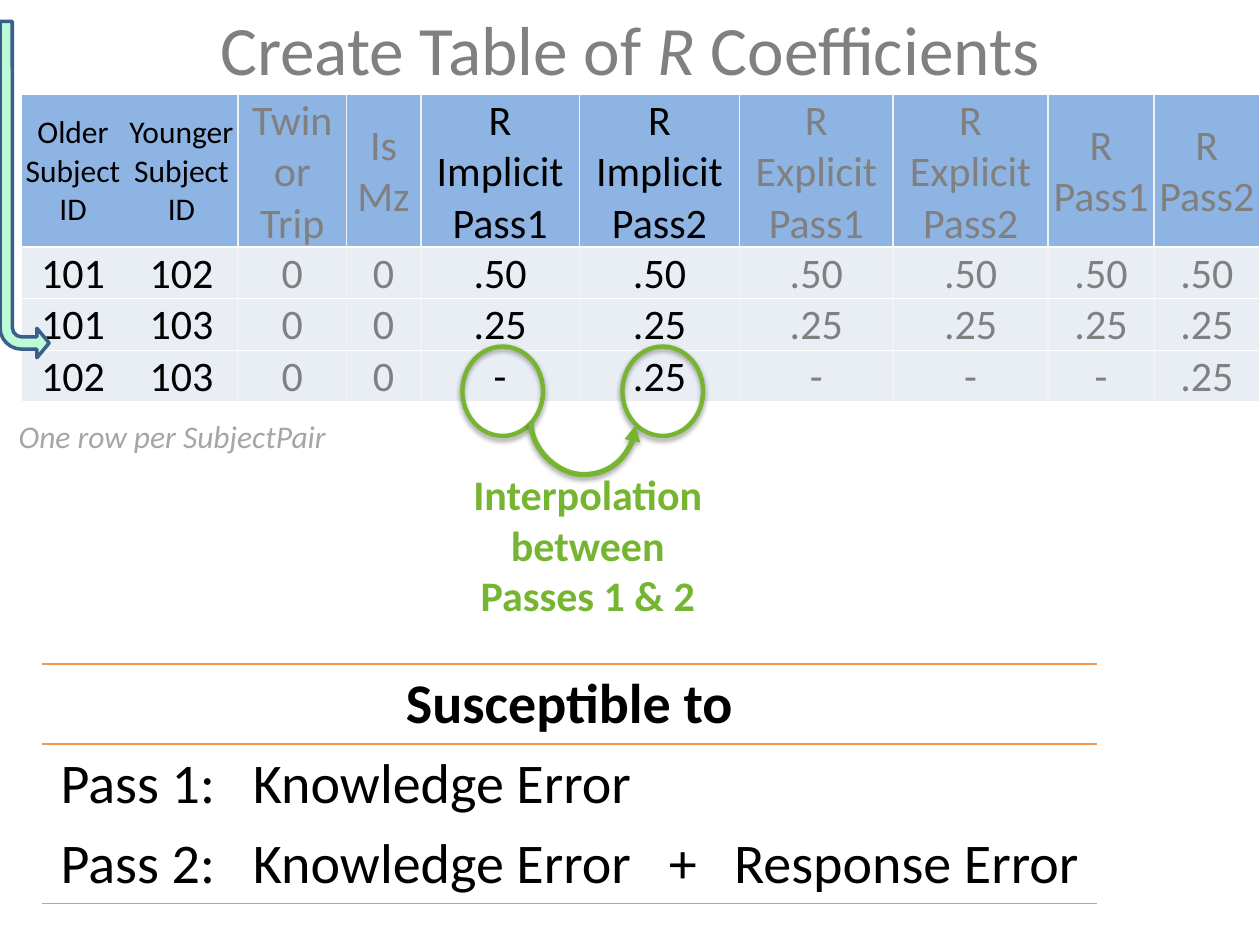
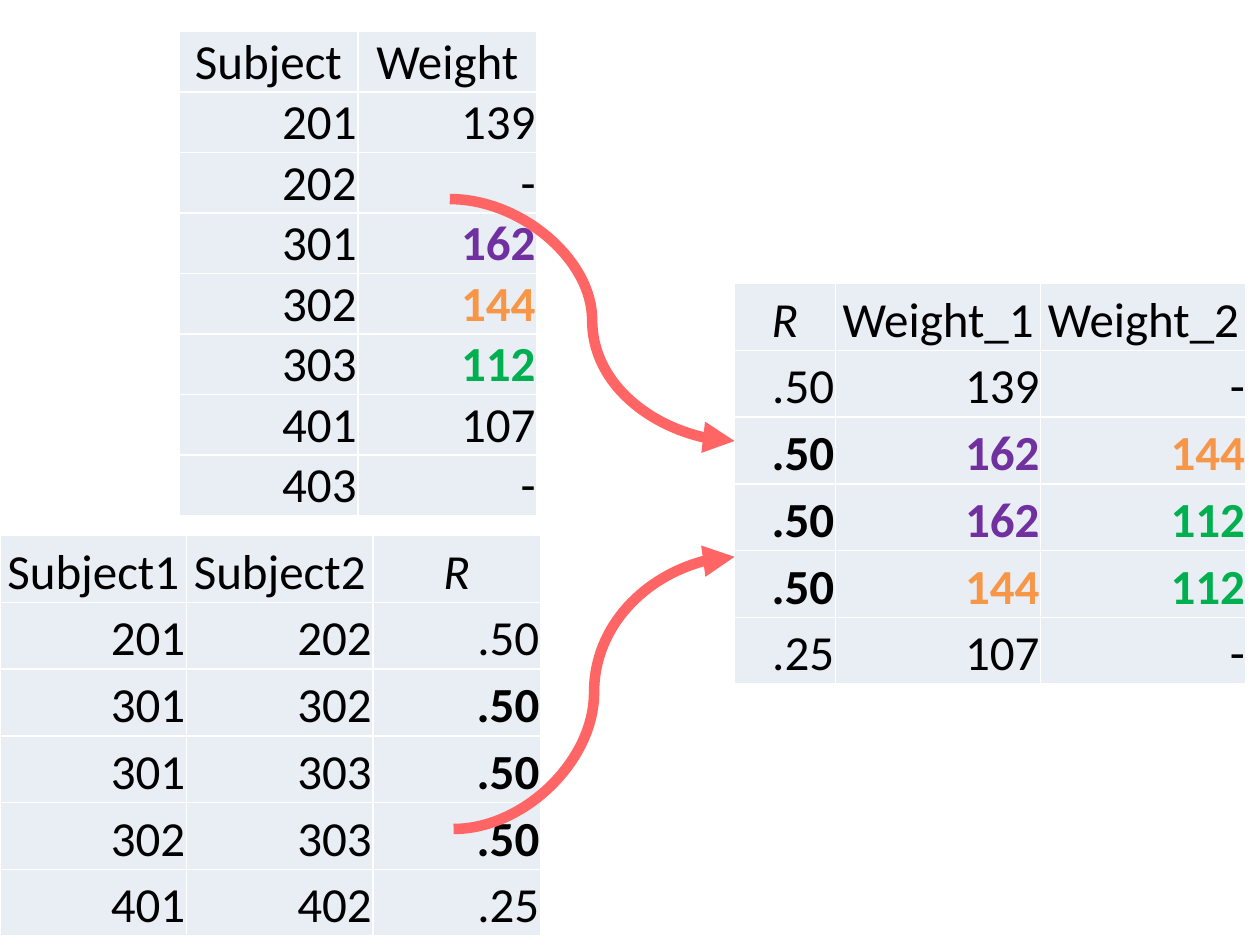
"""Build two slides on tables of R coefficients and linked subject weights."""
import lxml.etree
import pptx
import pptx.dml.color
import pptx.enum.shapes
import pptx.enum.text
import pptx.oxml.ns
import pptx.util

Inches = pptx.util.Inches
Pt = pptx.util.Pt
RGBColor = pptx.dml.color.RGBColor
Align = pptx.enum.text.PP_ALIGN
Anchor = pptx.enum.text.MSO_ANCHOR
Shape = pptx.enum.shapes.MSO_SHAPE
qn = pptx.oxml.ns.qn

FONT = "Calibri"
BLACK = RGBColor(0, 0, 0)
WHITE = RGBColor(255, 255, 255)
GRAY = RGBColor(0x80, 0x80, 0x80)
LIGHT_GRAY = RGBColor(0xA6, 0xA6, 0xA6)
DIVIDER = RGBColor(0xF2, 0xF2, 0xF2)
HEADER_BLUE = RGBColor(0x8E, 0xB4, 0xE3)
CELL_BLUE = RGBColor(0xE9, 0xED, 0xF4)
GREEN = RGBColor(0x76, 0xB5, 0x31)
MINT = RGBColor(0xBD, 0xFB, 0xD6)
NAVY = RGBColor(0x3A, 0x5F, 0x8C)
CORAL = RGBColor(0xFF, 0x65, 0x65)
ORANGE = RGBColor(0xF7, 0x96, 0x46)
WEIGHT_COLORS = {
    "162": RGBColor(0x70, 0x30, 0xA0),
    "144": ORANGE,
    "112": RGBColor(0x00, 0xB0, 0x50),
}
NO_STYLE = "{2D5ABB26-0587-4C30-8999-92F81FD0307C}"

COEFFICIENT_WIDTHS = [0.82, 0.9, 0.86, 0.59, 1.26, 1.27, 1.22, 1.23, 0.84, 0.84]
COEFFICIENT_ROWS = [
    ["Older\nSubject\nID", "Younger\nSubject\nID", "Twin\nor\nTrip", "Is\nMz",
     "R\nImplicit\nPass1", "R\nImplicit\nPass2", "R\nExplicit\nPass1",
     "R\nExplicit\nPass2", "R\nPass1", "R\nPass2"],
    ["101", "102", "0", "0"] + [".50"] * 6,
    ["101", "103", "0", "0"] + [".25"] * 6,
    ["102", "103", "0", "0", "-", ".25", "-", "-", "-", ".25"],
]
ERROR_ROWS = [
    ["Susceptible to", "", "", ""],
    ["Pass 1:", "Knowledge Error", "", ""],
    ["Pass 2:", "Knowledge Error", "+", "Response Error"],
]
WEIGHT_ROWS = [
    ["Subject", "Weight"], ["201", "139"], ["202", "-"], ["301", "162"],
    ["302", "144"], ["303", "112"], ["401", "107"], ["403", "-"],
]
PAIR_ROWS = [
    ["Subject1", "Subject2", "R"], ["201", "202", ".50"], ["301", "302", ".50"],
    ["301", "303", ".50"], ["302", "303", ".50"], ["401", "402", ".25"],
]
LINKED_ROWS = [
    ["R", "Weight_1", "Weight_2"], [".50", "139", "-"], [".50", "162", "144"],
    [".50", "162", "112"], [".50", "144", "112"], [".25", "107", "-"],
]


def add_text(frame, text, size=24, color=BLACK, bold=False, italic=False, align=Align.CENTER):
    """Append formatted text, with line breaks at newlines, to the first paragraph."""
    para = frame.paragraphs[0]
    para.alignment = align
    for index, line in enumerate(text.split("\n")):
        if index:
            para.add_line_break()
        span = para.add_run()
        span.text = line
        span.font.name = FONT
        span.font.size = Pt(size)
        span.font.color.rgb = color
        span.font.bold = bold
        span.font.italic = italic


def add_box(page, left, top, width, height, anchor=Anchor.TOP):
    """Add a wrapping text box and return its text frame."""
    frame = page.shapes.add_textbox(*map(Inches, (left, top, width, height))).text_frame
    frame.word_wrap = True
    frame.vertical_anchor = anchor
    return frame


def add_table(page, left, top, widths, heights):
    """Add an unstyled table with the given column widths and row heights."""
    holder = page.shapes.add_table(
        len(heights), len(widths), Inches(left), Inches(top),
        Inches(sum(widths)), Inches(sum(heights)))
    table = holder.table
    table._tbl.tblPr.find(qn("a:tableStyleId")).text = NO_STYLE
    for column, width in zip(table.columns, widths):
        column.width = Inches(width)
    for row, height in zip(table.rows, heights):
        row.height = Inches(height)
    return table


def set_borders(cell, **colors):
    """Draw one-point borders on the named sides: L, R, T or B."""
    properties = cell._tc.get_or_add_tcPr()
    sides = [side for side in "LRTB" if side in colors]
    for position, side in enumerate(sides):
        line = lxml.etree.Element(qn("a:ln" + side), w=str(Pt(1)))
        fill = lxml.etree.SubElement(line, qn("a:solidFill"))
        lxml.etree.SubElement(fill, qn("a:srgbClr"), val=str(colors[side]))
        properties.insert(position, line)


def fill_cell(cell, color, anchor=Anchor.BOTTOM):
    """Give a cell its fill, anchor and narrow margins."""
    cell.fill.solid()
    cell.fill.fore_color.rgb = color
    cell.vertical_anchor = anchor
    cell.margin_left = cell.margin_right = cell.margin_top = Inches(0.01)
    cell.margin_bottom = 0


def add_shadow(shape, opacity, distance):
    """Put a soft shadow below a shape or connector."""
    properties = shape._element.spPr
    effects = properties.find(qn("a:effectLst"))
    shadow = lxml.etree.SubElement(
        effects, qn("a:outerShdw"), blurRad=str(Pt(3.1)), dist=str(Pt(distance)),
        dir="5400000", rotWithShape="0")
    color = lxml.etree.SubElement(shadow, qn("a:srgbClr"), val=str(BLACK))
    lxml.etree.SubElement(color, qn("a:alpha"), val=str(opacity * 1000))


def add_shape(page, kind, bounds, line_color, line_width, fill=None):
    """Add a preset shape without shadow."""
    shape = page.shapes.add_shape(kind, *map(Inches, bounds))
    shape.shadow.inherit = False
    if fill is None:
        shape.fill.background()
    else:
        shape.fill.solid()
        shape.fill.fore_color.rgb = fill
    shape.line.color.rgb = line_color
    shape.line.width = Pt(line_width)
    return shape


def add_curve(page, start, end, color, width, bend=0.5, rotation=0):
    """Add a curved arrow; bend is the middle's place as a share of the width."""
    curve = page.shapes.add_connector(
        pptx.enum.shapes.MSO_CONNECTOR.CURVE, *map(Inches, start + end))
    curve.line.color.rgb = color
    curve.line.width = Pt(width)
    lxml.etree.SubElement(curve.line._get_or_add_ln(), qn("a:tailEnd"), type="triangle")
    properties = curve._element.spPr
    lxml.etree.SubElement(properties, qn("a:effectLst"))
    properties.find(qn("a:xfrm")).set("rot", str(rotation * 60000))
    guides = properties.find(qn("a:prstGeom")).find(qn("a:avLst"))
    lxml.etree.SubElement(guides, qn("a:gd"), name="adj1", fmla=f"val {round(bend * 100000)}")
    return curve


def add_coefficient_table(page):
    """Add the table of subject pairs, with dividers between column pairs."""
    table = add_table(page, 0.17, 0.75, COEFFICIENT_WIDTHS, [1.21] + [0.41] * 3)
    last = len(COEFFICIENT_WIDTHS) - 1
    for row, values in enumerate(COEFFICIENT_ROWS):
        for column, value in enumerate(values):
            cell = table.cell(row, column)
            header = row == 0
            fill_cell(cell, HEADER_BLUE if header else CELL_BLUE,
                      Anchor.MIDDLE if header else Anchor.BOTTOM)
            add_text(cell.text_frame, value, size=18 if header and column < 2 else 24,
                     color=BLACK if column in (0, 1, 4, 5) else GRAY)
            if column % 2 == 0:
                edge = {"L": DIVIDER if column else WHITE}
            else:
                edge = {"R": WHITE if column == last else DIVIDER}
            set_borders(cell, T=WHITE, B=WHITE, **edge)


def add_error_table(page):
    """Add the ruled table of the errors that affect each pass."""
    table = add_table(page, 0.33, 5.27, [1.53, 3.3, 0.52, 3.03], [0.63] * 3)
    table.cell(0, 0).merge(table.cell(0, 3))
    for row, values in enumerate(ERROR_ROWS):
        for column, value in enumerate(values):
            cell = table.cell(row, column)
            cell.fill.background()
            if value:
                add_text(cell.text_frame, value, size=32, bold=row == 0)
            if row == 0:
                set_borders(cell, T=ORANGE, B=ORANGE)
            elif row == 2:
                set_borders(cell, B=ORANGE)


def add_data_table(page, left, top, widths, height, rows):
    """Add a white-ruled table that highlights linked weights and coefficients."""
    table = add_table(page, left, top, widths, [height] * len(rows))
    for row, values in enumerate(rows):
        for column, value in enumerate(values):
            cell = table.cell(row, column)
            fill_cell(cell, CELL_BLUE)
            set_borders(cell, L=WHITE, R=WHITE, T=WHITE, B=WHITE)
            add_text(cell.text_frame, value, size=28,
                     color=WEIGHT_COLORS.get(value, BLACK),
                     bold=value in WEIGHT_COLORS or (value == ".50" and row > 1),
                     italic=value == "R",
                     align=Align.RIGHT if row else Align.CENTER)


def build_coefficient_slide(page):
    """Build the slide on interpolation between the passes."""
    title = add_box(page, 0.5, 0, 9, 0.75, Anchor.MIDDLE)
    for text, italic in (("Create Table of ", False), ("R ", True), ("Coefficients", False)):
        add_text(title, text, size=39.6, color=GRAY, italic=italic)
    add_coefficient_table(page)
    add_text(add_box(page, 0.05, 3.26, 4.08, 0.4), "One row per SubjectPair",
             size=18, color=LIGHT_GRAY, italic=True, align=Align.LEFT)
    add_error_table(page)
    for left in (3.67, 4.94):
        ring = add_shape(page, Shape.OVAL, (left, 2.75, 0.64, 0.71), GREEN, 2.5)
        add_shadow(ring, 38, 1.6)
    link = add_curve(page, (4.64, 2.95), (4.62, 3.78), GREEN, 3, bend=20.5, rotation=270)
    add_shadow(link, 35, 1.8)
    add_text(add_box(page, 3.58, 3.67, 2.17, 1.31),
             "Interpolation\nbetween\nPasses 1 & 2", color=GREEN, bold=True)
    arrow = add_shape(page, Shape.BENT_ARROW, (0, 0.17, 0.39, 2.67), NAVY, 2, MINT)
    arrow._element.spPr.find(qn("a:xfrm")).set("flipV", "1")
    for index, value in enumerate((0.25, 0.3, 0.25, 0.44)):
        arrow.adjustments[index] = value


def build_linking_slide(page):
    """Build the slide that joins subject weights to subject pairs."""
    add_data_table(page, 1.42, 0.25, [1.42] * 2, 0.48, WEIGHT_ROWS)
    add_data_table(page, 5.83, 2.25, [0.8, 1.63, 1.63], 0.53, LINKED_ROWS)
    add_data_table(page, 0, 4.25, [1.48, 1.48, 1.33], 0.53, PAIR_ROWS)
    add_curve(page, (3.6, 6.58), (5.83, 4.42), CORAL, 6)
    add_curve(page, (3.57, 1.58), (5.83, 3.5), CORAL, 6)


def main():
    """Create the deck and save it."""
    deck = pptx.Presentation()
    deck.slide_width = Inches(10)
    deck.slide_height = Inches(7.5)
    for build in (build_coefficient_slide, build_linking_slide):
        build(deck.slides.add_slide(deck.slide_layouts[6]))
    deck.save("out.pptx")


main()
